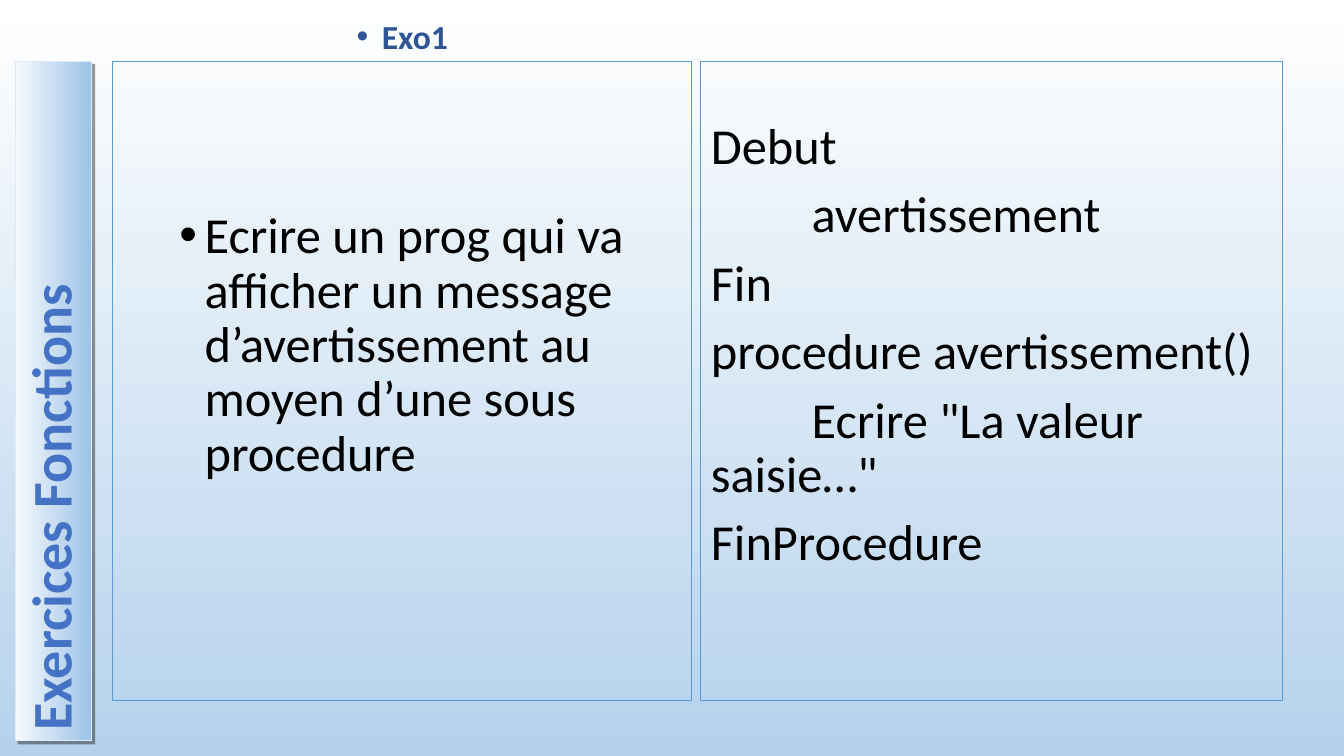
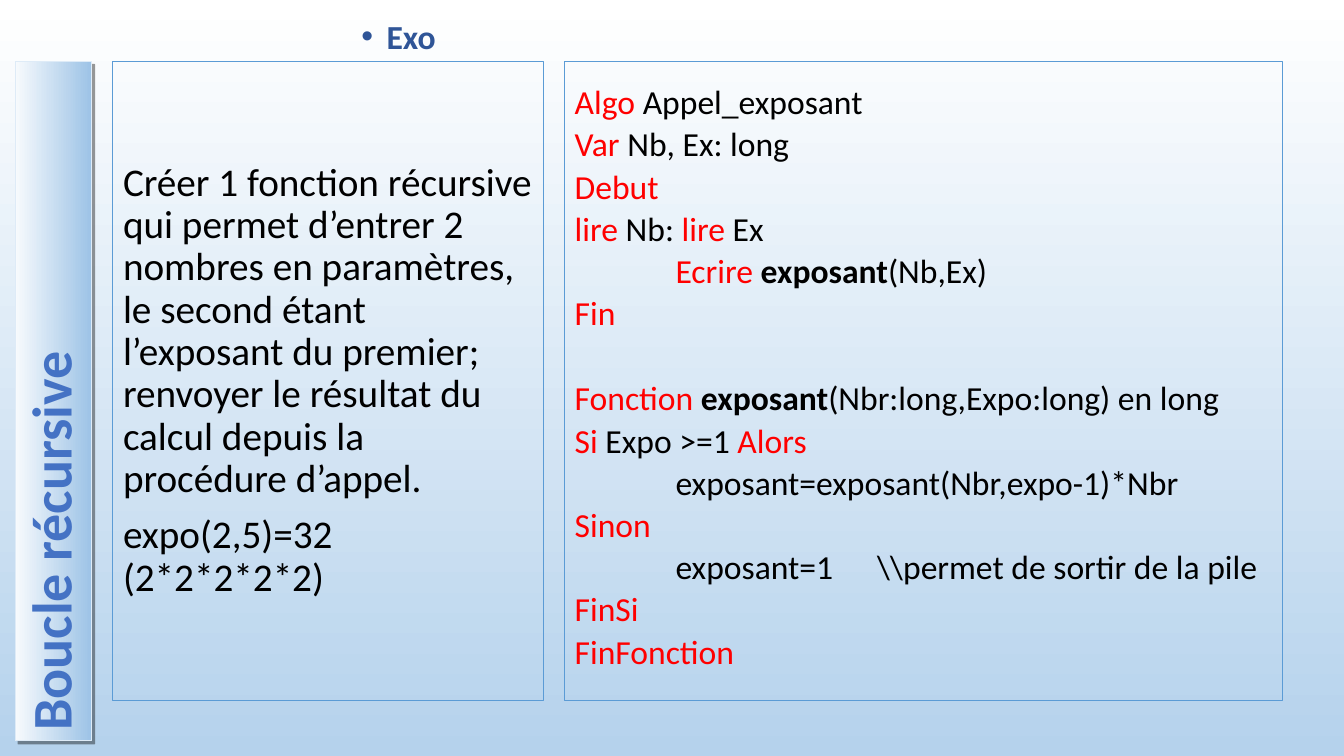
from pptx import Presentation
from pptx import util as u
from pptx.dml.color import RGBColor
from pptx.enum import text as t
from pptx.oxml import parse_xml
from pptx.oxml.ns import nsdecls

HUES = {
    "top": "FFFFFF", "base": "B5D2EC",
    "pale": "F7FAFD", "band": "9DC3E6", "rim": "DEEBF7",
    "title": "4472C4", "head": "2F5597", "edge": "5B9BD5",
    "ink": "000000", "key": "FF0000",
}
FONT = "Calibri"
TOP, TALL = 0.61, 6.34    # panel rows
LEFT, RIGHT = 1.12, 12.72  # panel limits
LAST = 0.74               # bottom inset that lifts the text by half a line


def hue(name):
    return RGBColor.from_string(HUES[name])


def grad(fill, first, last):
    """Fill from top to bottom."""
    fill.gradient()
    fill.gradient_angle = 270
    for stop, name in zip(fill.gradient_stops, (first, last)):
        stop.color.rgb = hue(name)


def place(shape, box):
    shape.left, shape.top, shape.width, shape.height = map(u.Inches, box)


def edge(shape, name):
    shape.line.color.rgb = hue(name)
    shape.line.width = u.Pt(0.75)


def write(shape, lines, size, color="ink", bold=False, bullet=False, tabbed=(),
          gaps=None, align="LEFT", anchor="MIDDLE", space=0.9, before=10,
          inset=0.1, foot=0.05):
    """Write lines; in a line, | parts runs, # marks a keyword, @ marks bold."""
    frame = shape.text_frame
    frame.word_wrap = True
    frame.auto_size = t.MSO_AUTO_SIZE.NONE
    frame.vertical_anchor = t.MSO_ANCHOR[anchor]
    frame.margin_left, frame.margin_right = u.Inches(inset), u.Inches(0.1)
    frame.margin_top, frame.margin_bottom = u.Inches(0.05), u.Inches(foot)
    for row, line in enumerate(lines):
        para = frame.paragraphs[0] if row == 0 else frame.add_paragraph()
        para.alignment = t.PP_ALIGN[align]
        para.line_spacing = space
        para.space_before = u.Pt((gaps or {}).get(row, before))
        para.space_after = u.Pt(0)
        props = para._p.get_or_add_pPr()
        first = -0.25 if bullet else 1 if row in tabbed else 0
        props.set("marL", str(u.Inches(0.25 if bullet else 0)))
        props.set("indent", str(u.Inches(first)))
        if bullet:
            marks = (f'<a:buClr {nsdecls("a")}><a:srgbClr val="{HUES[color]}"/></a:buClr>',
                     f'<a:buFont {nsdecls("a")} typeface="Arial"/>',
                     f'<a:buChar {nsdecls("a")} char="•"/>')
        else:
            marks = (f'<a:buNone {nsdecls("a")}/>',)
        for mark in marks:
            props.append(parse_xml(mark))
        for part in line.split("|"):
            run = para.add_run()
            run.text = part.lstrip("#@")
            run.font.name, run.font.size = FONT, u.Pt(size)
            run.font.bold = bold or part.startswith("@")
            run.font.color.rgb = hue("key" if part.startswith("#") else color)


def side(shape, title):
    """Upright title band at the left."""
    place(shape, (-2.84, 3.6, 6.74, 0.76))
    shape.rotation = 270
    grad(shape.fill, "pale", "band")
    edge(shape, "rim")
    shape._element.spPr.append(parse_xml(
        f'<a:effectLst {nsdecls("a")}><a:outerShdw dist="38100" dir="2700000" '
        f'algn="ctr" rotWithShape="0"><a:srgbClr val="{HUES["ink"]}">'
        '<a:alpha val="40000"/></a:srgbClr></a:outerShdw></a:effectLst>'))
    write(shape, [title], 40, color="title", bold=True, before=0)


def panel(shape, box, lines, size, **form):
    place(shape, box)
    shape.fill.background()
    edge(shape, "edge")
    write(shape, lines, size, **form)


def page(deck, title, head, split, gap, task, code):
    """Title band, heading, task panel and code panel."""
    slide = deck.slides.add_slide(deck.slide_layouts.get_by_name("Comparison"))
    spots = {s.placeholder_format.idx: s for s in slide.placeholders}
    spare = spots[3]._element
    spare.getparent().remove(spare)

    side(spots[0], title)
    place(spots[1], (LEFT, 0.1, 5.74, 0.51))
    write(spots[1], [head], 24, color="head", bold=True, bullet=True,
          align="CENTER", anchor="BOTTOM")
    panel(spots[2], (LEFT, TOP, split - LEFT, TALL), **task)
    start = split + gap
    panel(spots[4], (start, TOP, RIGHT - start, TALL), **code)


deck = Presentation()
deck.slide_width, deck.slide_height = u.Inches(13.33), u.Inches(7.5)
grad(deck.slide_master.background.fill, "top", "base")

# Procedure exercise
page(deck, "Exercices Fonctions", "Exo1", 6.86, 0.09,
     task=dict(lines=["Ecrire un prog qui va afficher un message d’avertissement "
                      "au moyen d’une sous procedure"],
               size=36, bullet=True, inset=0.66, foot=LAST),
     code=dict(lines=["Debut", "avertissement", "Fin", "procedure avertissement()",
                      'Ecrire "La valeur saisie…"', "FinProcedure"],
               size=36, tabbed=(1, 4), foot=LAST))

# Recursion exercise
page(deck, "Boucle récursive", "Exo ", 5.39, 0.21,
     task=dict(lines=["Créer 1 fonction récursive qui permet d’entrer 2 nombres en "
                      "paramètres, le second étant l’exposant du premier; renvoyer "
                      "le résultat du calcul depuis la procédure d’appel.",
                      "expo(2,5)=32 (2*2*2*2*2)"], size=28),
     code=dict(lines=["#Algo |Appel_exposant",
                      "#Var| Nb, Ex: long",
                      "#Debut",
                      "#lire| Nb: |#lire| Ex",
                      "#Ecrire |@exposant|(Nb,Ex)",
                      "#Fin",
                      "#Fonction |@exposant|(Nbr:long,Expo:long) en long",
                      "#Si| Expo >=1 |#Alors",
                      "exposant=exposant(Nbr,expo-1)*Nbr",
                      "#Sinon",
                      "exposant=1\t\\\\permet de sortir de la pile",
                      "#FinSi",
                      "#FinFonction"],
               size=24, space=0.7, tabbed=(4, 8, 10), gaps={6: 40.5}))

deck.save("out.pptx")
